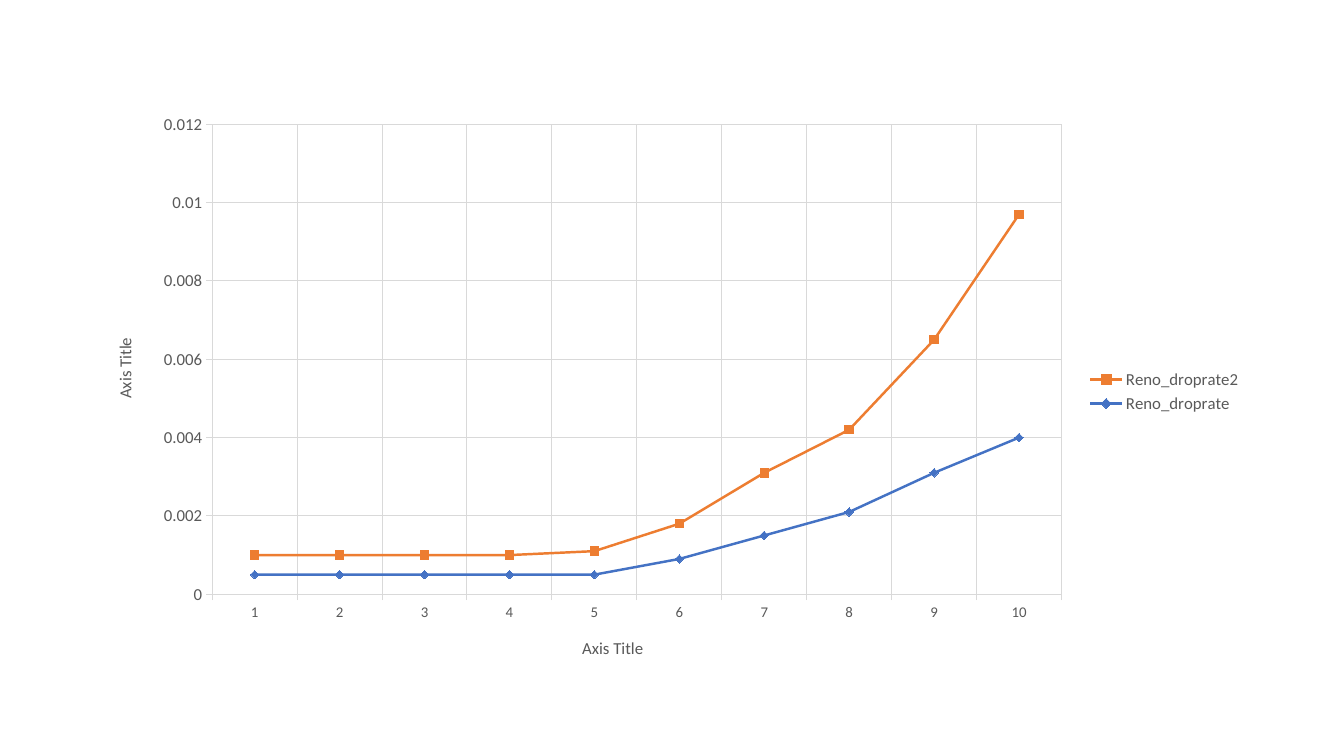
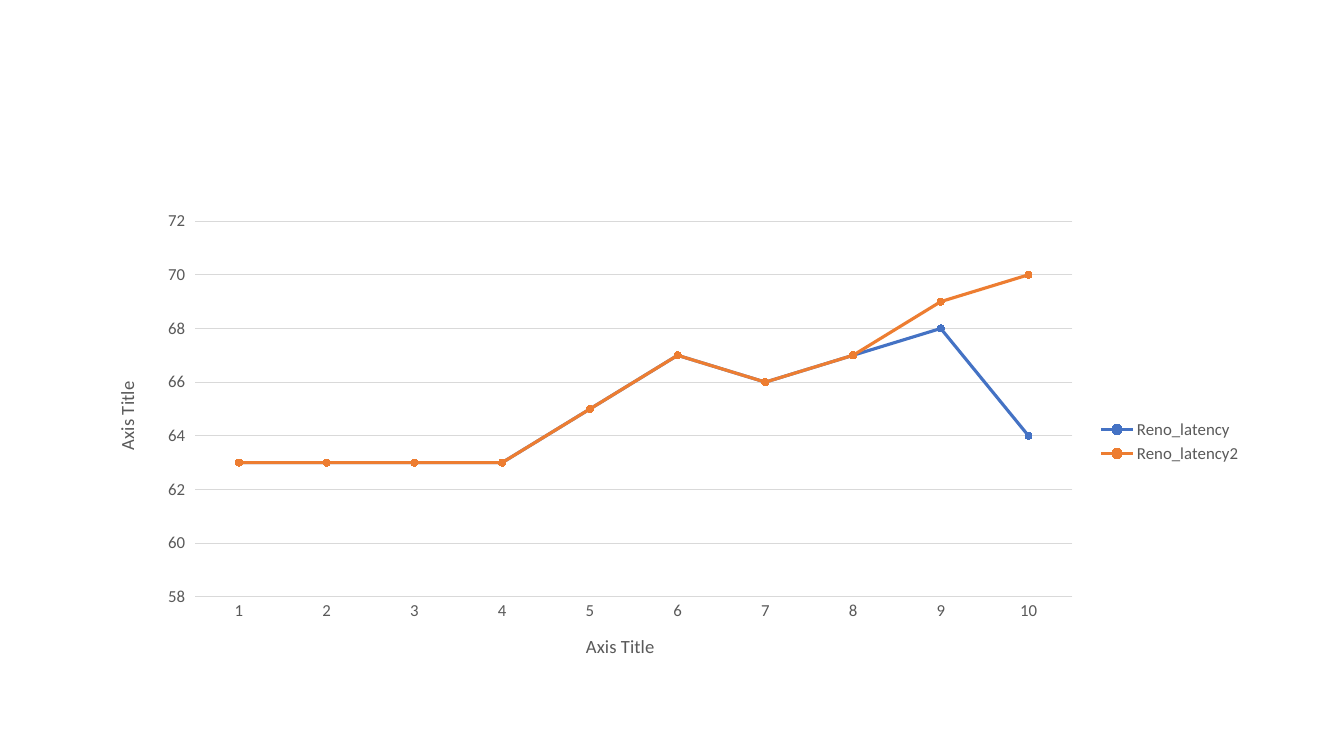
from pptx import Presentation
from pptx.chart.data import CategoryChartData
from pptx.dml.color import RGBColor
from pptx.enum.chart import XL_CHART_TYPE, XL_LEGEND_POSITION, XL_MARKER_STYLE, XL_TICK_MARK
from pptx.util import Inches, Pt

COLOURS = {"text": "595959", "grid": "D9D9D9", "first": "4472C4", "second": "ED7D31"}
FONT = "Calibri"
BLANK_LAYOUT = 6


class ChartDeck:
    def __init__(self, width, height):
        self.deck = Presentation()
        self.deck.slide_width = Inches(width)
        self.deck.slide_height = Inches(height)
        self.slide = None

    def add_slide(self):
        self.slide = self.deck.slides.add_slide(self.deck.slide_layouts[BLANK_LAYOUT])

    def colour(self, name):
        return RGBColor.from_string(COLOURS[name])

    def style_font(self, font, size):
        for name, value in {"name": FONT, "size": Pt(size), "bold": False}.items():
            setattr(font, name, value)
        font.color.rgb = self.colour("text")

    def style_line(self, line, colour, width):
        line.color.rgb = self.colour(colour)
        line.width = Pt(width)

    def add_line_chart(self, kind, area, series):
        data = CategoryChartData(number_format="General")
        data.categories = [str(number) for number in range(1, 11)]
        for name, values in series.items():
            data.add_series(name, values)
        left, top, width, height = area
        page_width, page_height = self.deck.slide_width, self.deck.slide_height
        frame = self.slide.shapes.add_chart(
            kind, int(left * page_width), int(top * page_height),
            int(width * page_width), int(height * page_height), data)
        chart = frame.chart
        chart.has_title = False
        self.style_font(chart.font, 12)
        chart.has_legend = True
        chart.legend.position = XL_LEGEND_POSITION.RIGHT
        chart.legend.include_in_layout = False
        self.style_font(chart.legend.font, 12)
        chart.plots[0].vary_by_categories = False
        return chart

    def style_series(self, chart, width, size, markers):
        for series, colour, symbol in zip(chart.plots[0].series, ("first", "second"), markers):
            series.smooth = False
            self.style_line(series.format.line, colour, width)
            marker = series.marker
            marker.style = symbol
            marker.size = size
            marker.format.fill.solid()
            marker.format.fill.fore_color.rgb = self.colour(colour)
            self.style_line(marker.format.line, colour, 0.75)

    def style_axis(self, axis, label_size, title_size, tick, grid=True, line=True, scale=None):
        axis.has_title = True
        paragraph = axis.axis_title.text_frame.paragraphs[0]
        span = paragraph.add_run()
        span.text = "Axis Title"
        self.style_font(span.font, title_size)
        self.style_font(axis.tick_labels.font, label_size)
        axis.major_tick_mark = tick
        axis.minor_tick_mark = XL_TICK_MARK.NONE
        axis.has_major_gridlines = grid
        if grid:
            self.style_line(axis.major_gridlines.format.line, "grid", 0.75)
        if line:
            self.style_line(axis.format.line, "grid", 0.75)
        else:
            axis.format.line.fill.background()
        for name, value in (scale or {}).items():
            setattr(axis, name, value)

    def save(self):
        self.deck.save("out.pptx")


def build_drop_rate(deck):
    deck.add_slide()
    chart = deck.add_line_chart(
        XL_CHART_TYPE.LINE_MARKERS_STACKED, (0.92 / 13.33, 1.02 / 7.5, 11.5 / 13.33, 5.73 / 7.5),
        {"Reno_droprate": (0.0005, 0.0005, 0.0005, 0.0005, 0.0005,
                           0.0009, 0.0015, 0.0021, 0.0031, 0.004),
         "Reno_droprate2": (0.0005, 0.0005, 0.0005, 0.0005, 0.0006,
                            0.0009, 0.0016, 0.0021, 0.0034, 0.0057)})
    deck.style_series(chart, 1.75, 6, (XL_MARKER_STYLE.DIAMOND, XL_MARKER_STYLE.SQUARE))
    deck.style_axis(chart.category_axis, 10.6, 12, XL_TICK_MARK.OUTSIDE)
    deck.style_axis(chart.value_axis, 12, 12, XL_TICK_MARK.OUTSIDE,
                    scale={"minimum_scale": 0, "maximum_scale": 0.012, "major_unit": 0.002})


def build_latency(deck):
    deck.add_slide()
    chart = deck.add_line_chart(
        XL_CHART_TYPE.LINE_MARKERS, (0.92 / 13.33, 2 / 7.5, 11.5 / 13.33, 4.76 / 7.5),
        {"Reno_latency": (63, 63, 63, 63, 65, 67, 66, 67, 68, 64),
         "Reno_latency2": (63, 63, 63, 63, 65, 67, 66, 67, 69, 70)})
    deck.style_series(chart, 2.25, 5, (XL_MARKER_STYLE.CIRCLE, XL_MARKER_STYLE.CIRCLE))
    deck.style_axis(chart.category_axis, 12, 13.3, XL_TICK_MARK.NONE, grid=False)
    deck.style_axis(chart.value_axis, 12, 13.3, XL_TICK_MARK.OUTSIDE, line=False,
                    scale={"minimum_scale": 58, "maximum_scale": 72, "major_unit": 2})


deck = ChartDeck(13.33, 7.5)
build_drop_rate(deck)
build_latency(deck)
deck.save()
